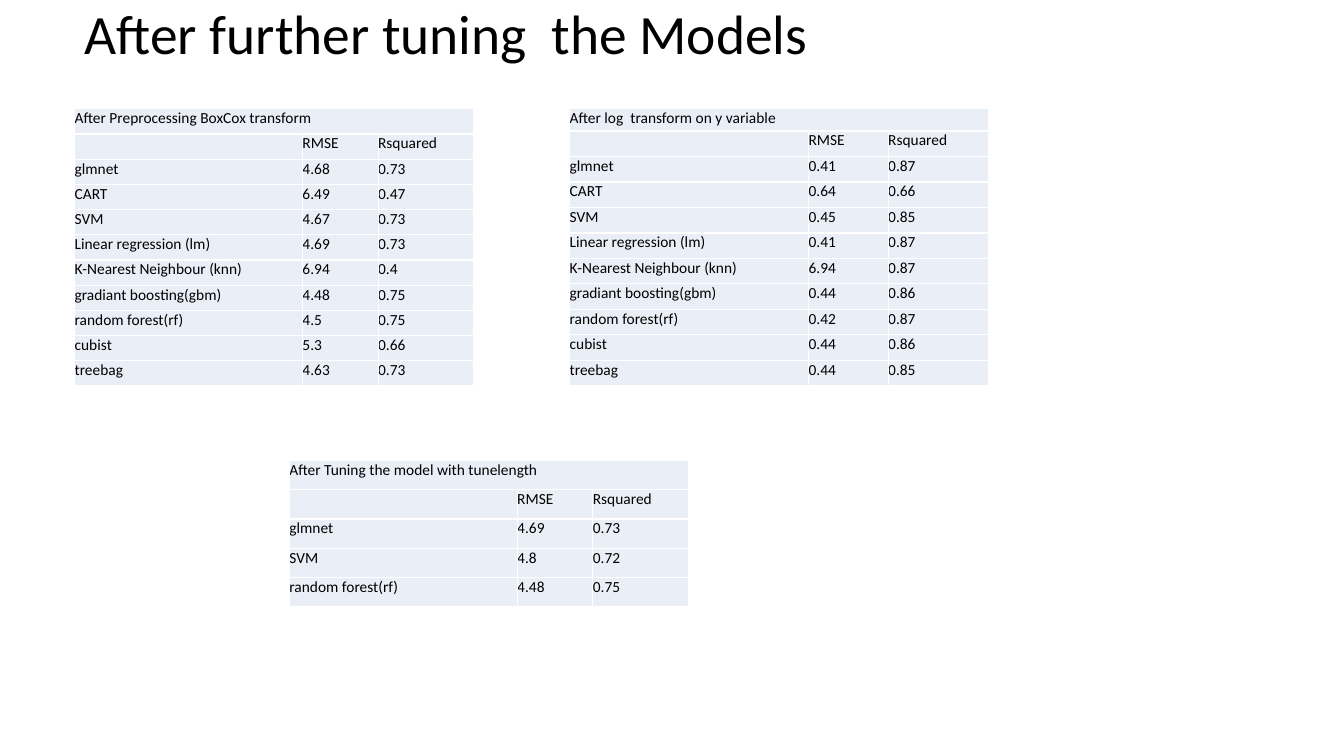
from lxml import etree
from pptx import Presentation
from pptx import util as u
from pptx.dml.color import RGBColor
from pptx.enum import text
from pptx.oxml import ns

BLACK = RGBColor(0x00, 0x00, 0x00)
WHITE = RGBColor(0xFF, 0xFF, 0xFF)
PALE_BLUE = RGBColor(0xEA, 0xEF, 0xF7)
FONT = "Calibri"
CELL_SIZE = u.Pt(11)

HEADINGS = ("", "RMSE", "Rsquared")
BOXCOX_SCORES = [
    ("glmnet", "4.68", "0.73"),
    ("CART", "6.49", "0.47"),
    ("SVM", "4.67", "0.73"),
    ("Linear regression (lm)", "4.69", "0.73"),
    ("K-Nearest Neighbour (knn)", "6.94", "0.4"),
    ("gradiant boosting(gbm)", "4.48", "0.75"),
    ("random forest(rf)", "4.5", "0.75"),
    ("cubist", "5.3", "0.66"),
    ("treebag", "4.63", "0.73"),
]
LOG_SCORES = [
    ("glmnet", "0.41", "0.87"),
    ("CART", "0.64", "0.66"),
    ("SVM", "0.45", "0.85"),
    ("Linear regression (lm)", "0.41", "0.87"),
    ("K-Nearest Neighbour (knn)", "6.94", "0.87"),
    ("gradiant boosting(gbm)", "0.44", "0.86"),
    ("random forest(rf)", "0.42", "0.87"),
    ("cubist", "0.44", "0.86"),
    ("treebag", "0.44", "0.85"),
]
TUNED_SCORES = [
    ("glmnet", "4.69", "0.73"),
    ("SVM", "4.8", "0.72"),
    ("random forest(rf)", "4.48", "0.75"),
]


def add_run(paragraph, words, size):
    run = paragraph.add_run()
    run.text = words
    run.font.size = size
    run.font.name = FONT
    run.font.color.rgb = BLACK


def add_borders(cell):
    properties = cell._tc.get_or_add_tcPr()
    for side in ("lnL", "lnR", "lnT", "lnB"):
        line = etree.SubElement(properties, ns.qn(f"a:{side}"), w=str(u.Pt(1)))
        fill = etree.SubElement(line, ns.qn("a:solidFill"))
        etree.SubElement(fill, ns.qn("a:srgbClr"), val=str(WHITE))


def format_cell(cell, words):
    cell.margin_left = cell.margin_right = 0
    cell.margin_top = cell.margin_bottom = 0
    add_borders(cell)
    cell.fill.solid()
    cell.fill.fore_color.rgb = PALE_BLUE
    paragraph = cell.text_frame.paragraphs[0]
    if words:
        add_run(paragraph, words, CELL_SIZE)
    else:
        size = str(int(CELL_SIZE.pt * 100))
        etree.SubElement(paragraph._p, ns.qn("a:endParaRPr"), sz=size)


def add_title(slide, left, top, width, height):
    title = slide.shapes.title
    title.left, title.top = u.Inches(left), u.Inches(top)
    title.width, title.height = u.Inches(width), u.Inches(height)
    frame = title.text_frame
    frame.word_wrap = True
    frame.auto_size = text.MSO_AUTO_SIZE.NONE
    frame.vertical_anchor = text.MSO_ANCHOR.MIDDLE
    paragraph = frame.paragraphs[0]
    paragraph.alignment = text.PP_ALIGN.LEFT
    paragraph.line_spacing = 0.9
    add_run(paragraph, "After further tuning  the Models", u.Pt(39.6))


def add_score_table(slide, caption, scores, left, top, height, widths, caption_height):
    rows = [(caption, "", ""), HEADINGS, *scores]
    frame = slide.shapes.add_table(
        len(rows), len(widths), u.Inches(left), u.Inches(top),
        u.Inches(sum(widths)), u.Inches(height))
    table = frame.table
    table.first_row = False
    table.horz_banding = False
    for column, width in zip(table.columns, widths):
        column.width = u.Inches(width)
    row_height = (height - caption_height) / (len(rows) - 1)
    for index, row in enumerate(table.rows):
        row.height = u.Inches(row_height if index else caption_height)
        for cell, words in zip(row.cells, rows[index]):
            format_cell(cell, words)
    table.cell(0, 0).merge(table.cell(0, len(widths) - 1))


def main():
    presentation = Presentation()
    presentation.slide_width = u.Inches(13.33)
    presentation.slide_height = u.Inches(7.5)
    slide = presentation.slides.add_slide(presentation.slide_layouts[5])
    add_title(slide, 0.74, 0, 11.5, 0.73)
    narrow, wide = (2.26, 0.75, 0.95), (2.37, 0.79, 1)
    add_score_table(slide, "After Preprocessing BoxCox transform", BOXCOX_SCORES,
                    0.74, 1.08, 2.75, narrow, 0.25)
    add_score_table(slide, "After log  transform on y variable", LOG_SCORES,
                    5.65, 1.08, 2.75, wide, 0.22)
    add_score_table(slide, "After Tuning the model with tunelength", TUNED_SCORES,
                    2.87, 4.57, 1.45, narrow, 0.29)
    presentation.save("out.pptx")


if __name__ == "__main__":
    main()
